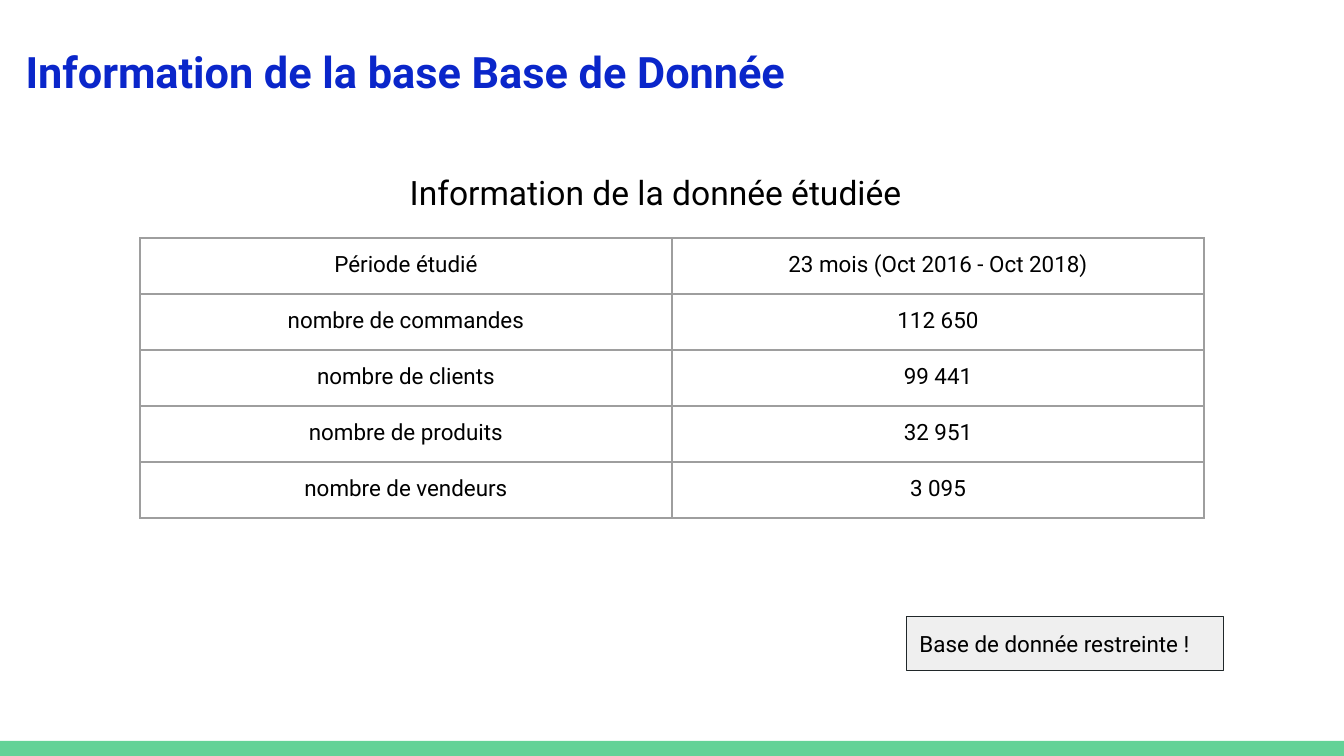
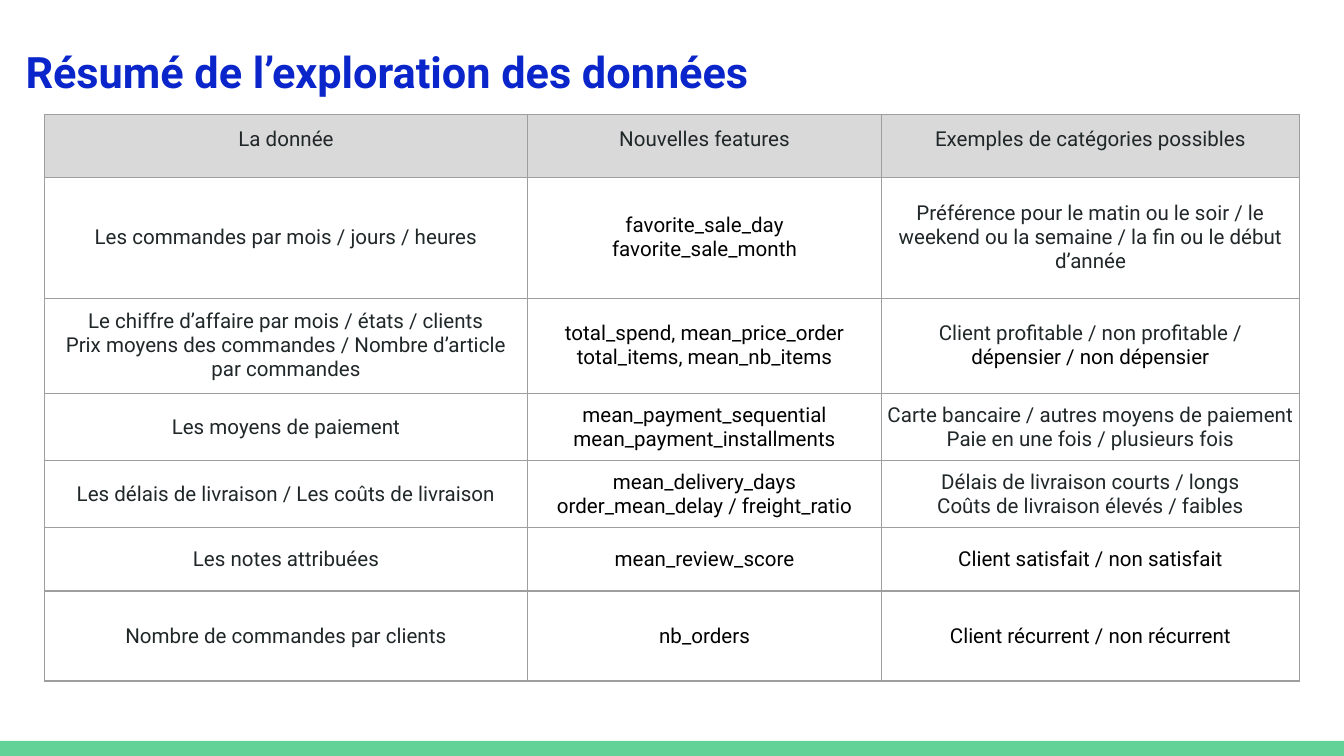
from lxml import etree
from pptx import Presentation
from pptx.dml.color import RGBColor
from pptx.enum import shapes, text
from pptx.oxml import ns
from pptx.util import Pt

FONT = "Roboto"
BLACK, INK, BLUE, GREEN = "000000", "202729", "0A26CA", "63D297"
GRID, HEADER, NOTE = "9E9E9E", "D9D9D9", "EFEFEF"
PAGE_WIDTH, PAGE_HEIGHT, BAND_HEIGHT = 720, 405, 8
WIDE, NARROW = 7.2, 2.9
TITLE_BOX = (6.5, 17.3, 665, 45)

DATABASE = [
    ("Période étudié", "23 mois (Oct 2016 - Oct 2018)"),
    ("nombre de commandes", "112 650"),
    ("nombre de clients", "99 441"),
    ("nombre de produits", "32 951"),
    ("nombre de vendeurs", "3 095"),
]
HEADINGS = ("La donnée", "Nouvelles features", "Exemples de catégories possibles")
EXPLORATION = [
    ("Les commandes par mois / jours / heures",
     "favorite_sale_day\vfavorite_sale_month",
     "Préférence pour le matin ou le soir / le weekend ou la semaine / la fin ou le début d’année"),
    ("Le chiffre d’affaire par mois / états / clients\n"
     "Prix moyens des commandes / Nombre d’article par commandes",
     "total_spend, mean_price_order\vtotal_items, mean_nb_items",
     "Client profitable / non profitable /\vdépensier / non dépensier"),
    ("Les moyens de paiement",
     "mean_payment_sequential\vmean_payment_installments",
     "Carte bancaire / autres moyens de paiement\nPaie en une fois / plusieurs fois"),
    ("Les délais de livraison / Les coûts de livraison",
     "mean_delivery_days\vorder_mean_delay / freight_ratio",
     "Délais de livraison courts / longs\nCoûts de livraison élevés / faibles"),
    ("Les notes attribuées", "mean_review_score", "Client satisfait / non satisfait"),
    ("Nombre de commandes par clients", "nb_orders", "Client récurrent / non récurrent"),
]
BLACK_EXAMPLES = ("Client satisfait / non satisfait", "Client récurrent / non récurrent",
                  "dépensier / non dépensier")


def paint(target, color):
    """Give a fill or a line's fill one solid colour."""
    target.solid()
    target.fore_color.rgb = RGBColor.from_string(color)


def set_margins(holder, margin):
    """Set the same inner margin on all sides of a text frame or cell."""
    for side in ("left", "right", "top", "bottom"):
        setattr(holder, f"margin_{side}", Pt(margin))


def write(frame, words, size, color=BLACK, align=text.PP_ALIGN.LEFT, bold=False):
    """Put formatted words in a text frame."""
    frame.text = words
    frame.word_wrap = True
    for para in frame.paragraphs:
        para.alignment = align
        for span in para.runs:
            span.font.name = FONT
            span.font.size = Pt(size)
            span.font.bold = bold
            span.font.color.rgb = RGBColor.from_string(color)


def add_panel(page, box, fill, line=None):
    """Add a flat rectangle, outlined if a line colour is given."""
    panel = page.shapes.add_shape(shapes.MSO_SHAPE.RECTANGLE, *map(Pt, box))
    panel.shadow.inherit = False
    paint(panel.fill, fill)
    if line:
        paint(panel.line.fill, line)
        panel.line.width = Pt(0.75)
    else:
        panel.line.fill.background()
    return panel


def add_page(deck, title):
    """Add a page with the shared band and title."""
    page = deck.slides.add_slide(deck.slide_layouts[5])
    add_panel(page, (0, PAGE_HEIGHT - BAND_HEIGHT, PAGE_WIDTH, BAND_HEIGHT), GREEN)
    holder = page.shapes.title
    holder.left, holder.top, holder.width, holder.height = map(Pt, TITLE_BOX)
    frame = holder.text_frame
    set_margins(frame, WIDE)
    frame.vertical_anchor = text.MSO_ANCHOR.TOP
    frame.auto_size = text.MSO_AUTO_SIZE.NONE
    write(frame, title, 23.2, BLUE, bold=True)
    return page


def draw_borders(cell):
    """Draw a thin grey line on each side of a cell."""
    properties = cell._tc.get_or_add_tcPr()
    for side in ("lnL", "lnR", "lnT", "lnB"):
        line = etree.SubElement(properties, ns.qn(f"a:{side}"), w=str(Pt(0.75)))
        solid = etree.SubElement(line, ns.qn("a:solidFill"))
        etree.SubElement(solid, ns.qn("a:srgbClr"), val=GRID)


def add_grid(page, left, top, widths, heights, rows, size, color=BLACK):
    """Add a centred, bordered table and return it."""
    frame = page.shapes.add_table(len(rows), len(widths), Pt(left), Pt(top),
                                  Pt(sum(widths)), Pt(sum(heights)))
    table = frame.table
    table.first_row = table.horz_banding = False
    for column, width in zip(table.columns, widths):
        column.width = Pt(width)
    for row, height, entries in zip(table.rows, heights, rows):
        row.height = Pt(height)
        for cell, words in zip(row.cells, entries):
            draw_borders(cell)
            cell.fill.background()
            set_margins(cell, WIDE)
            write(cell.text_frame, words, size, color, text.PP_ALIGN.CENTER)
    return table


def build_database(deck):
    """Build the page that describes the database."""
    page = add_page(deck, "Information de la base Base de Donnée")
    caption = page.shapes.add_textbox(Pt(87.8), Pt(85), Pt(527), Pt(36)).text_frame
    set_margins(caption, WIDE)
    write(caption, "Information de la donnée étudiée", 18, align=text.PP_ALIGN.CENTER)
    add_grid(page, 75, 127.5, [285] * 2, [30] * len(DATABASE), DATABASE, 12)
    note = add_panel(page, (485.5, 330.3, 170, 29), NOTE, INK).text_frame
    set_margins(note, WIDE)
    note.vertical_anchor = text.MSO_ANCHOR.TOP
    write(note, "Base de donnée restreinte !", 12)


def build_exploration(deck):
    """Build the page that sums up the exploration."""
    page = add_page(deck, "Résumé de l’exploration des données")
    table = add_grid(page, 23.75, 61.2, [259, 189.5, 224],
                     [33.8, 64.8, 51, 36, 36, 33.8, 48.3],
                     [HEADINGS, *EXPLORATION], 11, INK)
    for cell in table.rows[0].cells:
        paint(cell.fill, HEADER)
    for number in range(1, len(table.rows)):
        for index, cell in enumerate(table.rows[number].cells):
            set_margins(cell, NARROW)
            cell.vertical_anchor = text.MSO_ANCHOR.MIDDLE
            for para in cell.text_frame.paragraphs:
                for span in para.runs:
                    if index == 1 or span.text in BLACK_EXAMPLES:
                        span.font.color.rgb = RGBColor.from_string(BLACK)


def main():
    """Build and save the deck."""
    deck = Presentation()
    deck.slide_width, deck.slide_height = Pt(PAGE_WIDTH), Pt(PAGE_HEIGHT)
    build_database(deck)
    build_exploration(deck)
    deck.save("out.pptx")


if __name__ == "__main__":
    main()
